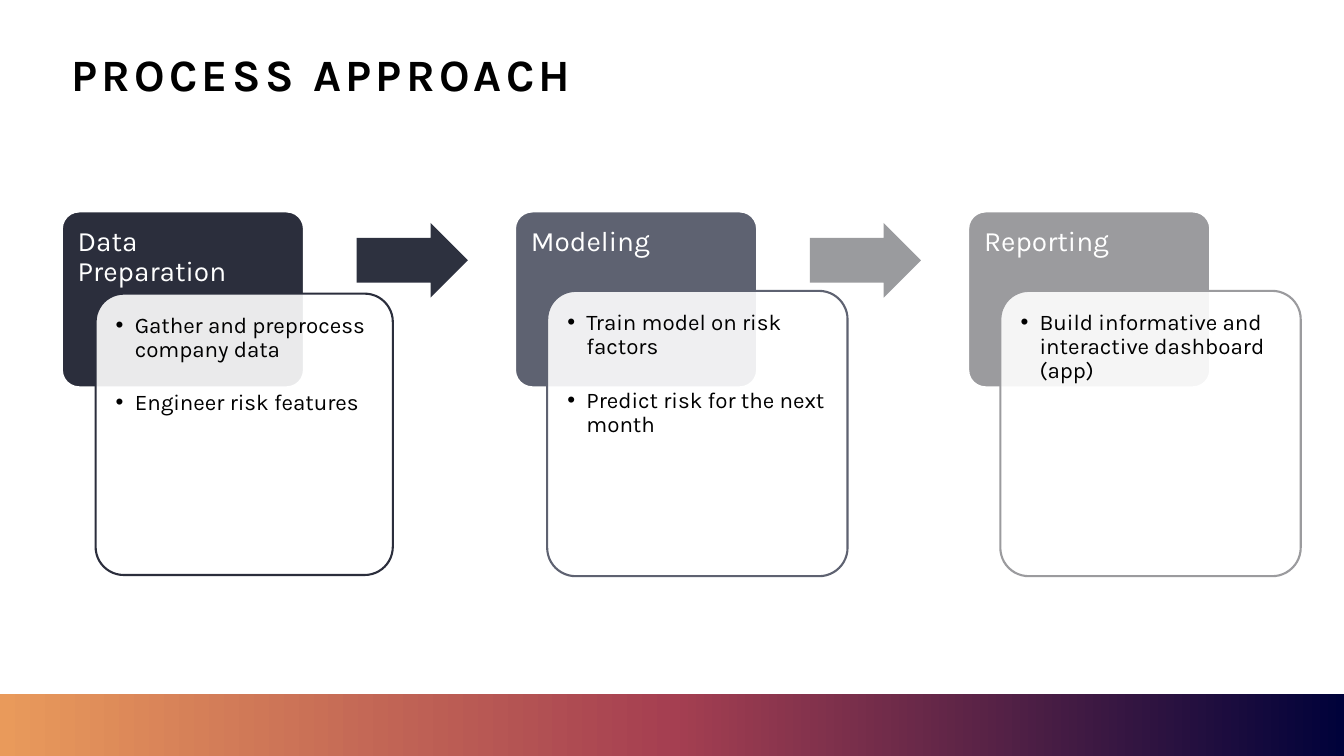
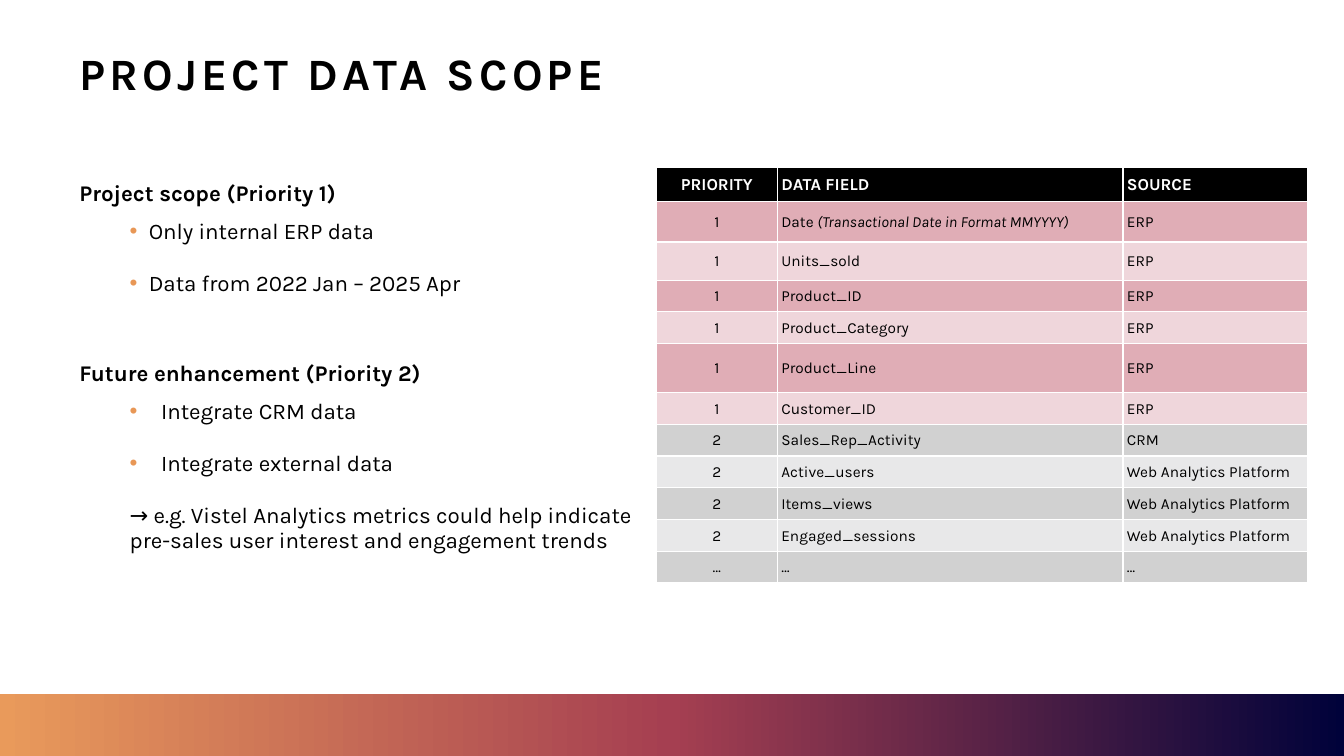
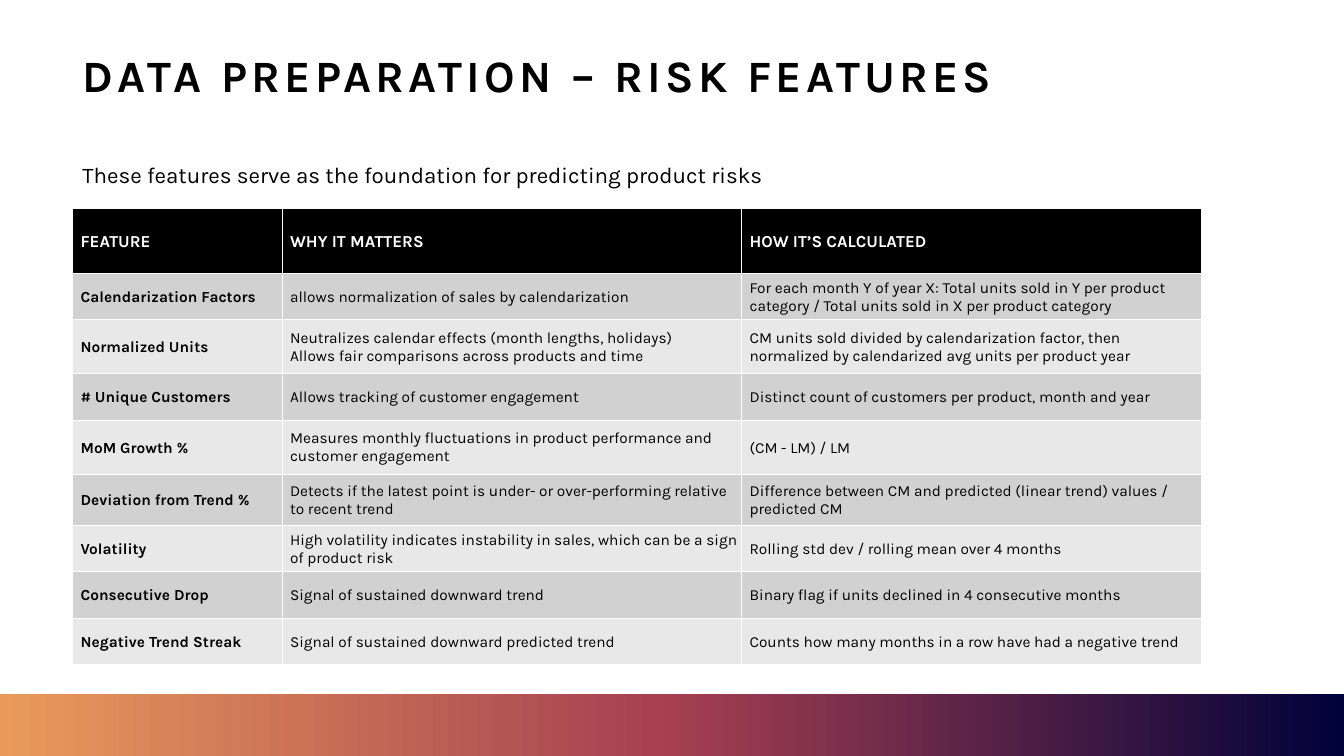
from copy import deepcopy

from lxml import etree
from pptx import Presentation
from pptx.dml.color import RGBColor
from pptx.enum.shapes import MSO_SHAPE
from pptx.enum.text import MSO_ANCHOR, MSO_AUTO_SIZE, PP_ALIGN
from pptx.oxml.ns import qn
from pptx.util import Cm, Pt

RECTANGLE = MSO_SHAPE.RECTANGLE
ROUNDED = MSO_SHAPE.ROUNDED_RECTANGLE
ARROW = MSO_SHAPE.RIGHT_ARROW
TOP, MIDDLE = MSO_ANCHOR.TOP, MSO_ANCHOR.MIDDLE
LEFT, CENTER = PP_ALIGN.LEFT, PP_ALIGN.CENTER
NO_FIT = MSO_AUTO_SIZE.NONE

FONT = "Karla"
WIDTH, HEIGHT = 33.87, 19.05
BAND = (0, 17.5, WIDTH, 1.55)
STEP_PITCH = 11.42
COLORS = {
    "black": "000000",
    "white": "FFFFFF",
    "navy": "00023A",
    "crimson": "A53F51",
    "orange": "E99A5B",
    "bullet": "E89756",
    "ink": "2B2E3C",
    "ink arrow": "2D313F",
    "slate": "5E6271",
    "grey": "9B9B9E",
    "grey arrow": "9A9B9E",
    "rose": "E0ADB6",
    "light rose": "EFD6DB",
    "silver": "D1D1D1",
    "light silver": "E8E8E9",
}
ROSE_ROWS = ("light rose", "rose")
GREY_ROWS = ("light silver", "silver")

STEPS = [
    ("Data Preparation", "ink", "ink arrow", (0.86, 2.08, 7.49, 7.09),
     ["Gather and preprocess company data", "Engineer risk features"]),
    ("Modeling", "slate", "grey arrow", (0.82, 2.01, 7.57, 7.19),
     ["Train model on risk factors", "Predict risk for the next month"]),
    ("Reporting", "grey", None, (0.82, 2.01, 7.57, 7.19),
     ["Build informative and interactive dashboard (app)"]),
]

NEAR_BULLET = {"indent": 1.75, "hanging": 0.48, "bullet": "bullet", "after": 10}
FAR_BULLET = {"indent": 2.06, "hanging": 0.79, "bullet": "bullet", "after": 10}
SCOPE_TEXT = [
    ("Project scope (Priority 1)", {"bold": True}),
    ("Only internal ERP data", NEAR_BULLET),
    ("Data from 2022 Jan – 2025 Apr", NEAR_BULLET),
    ("Future enhancement (Priority 2)", {"bold": True, "before": 37}),
    ("Integrate CRM data", FAR_BULLET),
    ("Integrate external data", FAR_BULLET),
    ("→ e.g. Vistel Analytics metrics could help indicate pre-sales user "
     "interest and engagement trends", {"indent": 1.27, "after": 10}),
]

FIELD_ROWS = [
    ("PRIORITY", "DATA FIELD", "SOURCE"),
    ("1", ("Date ", "(Transactional Date in Format MMYYYY)"), "ERP"),
    ("1", "Units_sold", "ERP"),
    ("1", "Product_ID", "ERP"),
    ("1", "Product_Category", "ERP"),
    ("1", "Product_Line", "ERP"),
    ("1", "Customer_ID", "ERP"),
    ("2", "Sales_Rep_Activity", "CRM"),
    ("2", "Active_users", "Web Analytics Platform"),
    ("2", "Items_views", "Web Analytics Platform"),
    ("2", "Engaged_sessions", "Web Analytics Platform"),
    ("…", "…", "…"),
]

FEATURE_ROWS = [
    ("FEATURE", "WHY IT MATTERS", "HOW IT’S CALCULATED"),
    ("Calendarization Factors",
     "allows normalization of sales by calendarization",
     "For each month Y of year X: Total units sold in Y per product category "
     "/ Total units sold in X per product category"),
    ("Normalized Units",
     "Neutralizes calendar effects (month lengths, holidays)\n"
     "Allows fair comparisons across products and time",
     "CM units sold divided by calendarization factor, then normalized by "
     "calendarized avg units per product year"),
    ("# Unique Customers",
     "Allows tracking of customer engagement",
     "Distinct count of customers per product, month and year"),
    ("MoM Growth %",
     "Measures monthly fluctuations in product performance and customer "
     "engagement",
     "(CM - LM) / LM"),
    ("Deviation from Trend %",
     "Detects if the latest point is under- or over-performing relative to "
     "recent trend",
     "Difference between CM and predicted (linear trend) values / predicted CM"),
    ("Volatility",
     "High volatility indicates instability in sales, which can be a sign of "
     "product risk",
     "Rolling std dev / rolling mean over 4 months"),
    ("Consecutive Drop",
     "Signal of sustained downward trend",
     "Binary flag if units declined in 4 consecutive months"),
    ("Negative Trend Streak",
     "Signal of sustained downward predicted trend",
     "Counts how many months in a row have had a negative trend"),
]


def rgb(name):
    return RGBColor.from_string(COLORS[name])


def lengths(values):
    return [Cm(value) for value in values]


def add_run(paragraph, text, size=16, color="black", bold=False, italic=False,
            tracking=0):
    for index, line in enumerate(text.split("\n")):
        if index:
            paragraph.add_line_break()
        run = paragraph.add_run()
        run.text = line
        font = run.font
        font.name, font.size = FONT, Pt(size)
        font.bold, font.italic = bold, italic
        font.color.rgb = rgb(color)
        if tracking:
            run._r.get_or_add_rPr().set("spc", str(tracking * 100))


def add_text(frame, text, align=LEFT, spacing=0.9, before=0, after=0, indent=0,
             hanging=0, bullet=None, **font_format):
    paragraph = frame.paragraphs[0]
    if paragraph.runs:
        paragraph = frame.add_paragraph()
    paragraph.alignment = align
    paragraph.line_spacing = spacing
    paragraph.space_before, paragraph.space_after = Pt(before), Pt(after)
    properties = paragraph._p.get_or_add_pPr()
    properties.set("marL", str(Cm(indent)))
    properties.set("indent", str(-Cm(hanging)))
    if bullet:
        color = etree.SubElement(properties, qn("a:buClr"))
        etree.SubElement(color, qn("a:srgbClr"), val=COLORS[bullet])
        etree.SubElement(properties, qn("a:buFont"), typeface="Arial")
        etree.SubElement(properties, qn("a:buChar"), char="•")
    add_run(paragraph, text, **font_format)


def prepare_frame(frame, margins, anchor=TOP):
    frame.word_wrap = True
    frame.auto_size = NO_FIT
    frame.vertical_anchor = anchor
    (frame.margin_left, frame.margin_top,
     frame.margin_right, frame.margin_bottom) = lengths(margins)
    return frame


def add_shape(slide, kind, box, fill, line=None, line_width=1, opacity=100,
              adjustments=()):
    shape = slide.shapes.add_shape(kind, *lengths(box))
    shape.shadow.inherit = False
    for index, value in enumerate(adjustments):
        shape.adjustments[index] = value
    shape.fill.solid()
    shape.fill.fore_color.rgb = rgb(fill)
    if opacity < 100:
        color = shape._element.spPr.find(qn("a:solidFill"))[0]
        etree.SubElement(color, qn("a:alpha"), val=str(opacity * 1000))
    if line:
        shape.line.color.rgb = rgb(line)
        shape.line.width = Pt(line_width)
    else:
        shape.line.fill.background()
    return shape


def add_band(slide):
    band = add_shape(slide, RECTANGLE, BAND, "navy")
    band.fill.gradient()
    band.fill.gradient_angle = 180
    stop_list = band._element.spPr.find(qn("a:gradFill")).find(qn("a:gsLst"))
    stop_list.insert(1, deepcopy(stop_list[0]))
    colors = ("navy", "crimson", "orange")
    for index, stop in enumerate(band.fill.gradient_stops):
        stop.position = index / 2
        stop.color.rgb = rgb(colors[index])


def add_titled_slide(presentation, title, box):
    slide = presentation.slides.add_slide(presentation.slide_layouts[5])
    placeholder = slide.shapes.title
    (placeholder.left, placeholder.top,
     placeholder.width, placeholder.height) = lengths(box)
    frame = prepare_frame(placeholder.text_frame, (0.25, 0.13, 0.25, 0.13), MIDDLE)
    add_text(frame, title, size=32, bold=True, tracking=3)
    add_band(slide)
    return slide


def add_body(slide, box, paragraphs):
    text_box = slide.shapes.add_textbox(*lengths(box))
    frame = prepare_frame(text_box.text_frame, (0.25, 0.13, 0.25, 0.13))
    for text, text_format in paragraphs:
        add_text(frame, text, **{"before": 10, **text_format})


def add_step(slide, left, top, step):
    heading, color, arrow_color, panel_box, items = step
    header = add_shape(slide, ROUNDED, (left, top, 6.12, 4.45), color, "white", 2,
                       adjustments=[0.1])
    frame = prepare_frame(header.text_frame, (0.28, 0.28, 0.28, 0.2))
    add_text(frame, heading, size=20, color="white")

    across, down, width, height = panel_box
    panel = add_shape(slide, ROUNDED, (left + across, top + down, width, height),
                      "white", color, 1.5, opacity=90, adjustments=[0.1])
    frame = prepare_frame(panel.text_frame, (0.3, 0.3, 0.3, 0.3))
    for item in items:
        add_text(frame, item, after=21, indent=0.48, hanging=0.48, bullet="black")

    if arrow_color:
        add_shape(slide, ARROW, (left + 7.44, top + 0.3, 2.8, 1.88), arrow_color,
                  adjustments=[0.6, 0.5])


def format_cell(cell, fill, margin):
    cell.vertical_anchor = MIDDLE
    (cell.margin_left, cell.margin_top,
     cell.margin_right, cell.margin_bottom) = lengths((margin, 0.03, 0.03, 0))
    properties = cell._tc.get_or_add_tcPr()
    for side in ("lnL", "lnR", "lnT", "lnB"):
        border = etree.SubElement(properties, qn("a:" + side), w=str(Pt(1)))
        border_fill = etree.SubElement(border, qn("a:solidFill"))
        etree.SubElement(border_fill, qn("a:srgbClr"), val=COLORS["white"])
    cell.fill.solid()
    cell.fill.fore_color.rgb = rgb(fill)


def add_grid(slide, left, top, widths, heights, rows, margins, row_fills,
             first_align=LEFT, first_bold=False):
    box = (left, top, sum(widths), sum(heights))
    frame = slide.shapes.add_table(len(rows), len(widths), *lengths(box))
    table = frame.table
    table.horz_banding = False
    for column, width in zip(table.columns, widths):
        column.width = Cm(width)
    for row_index, values in enumerate(rows):
        table.rows[row_index].height = Cm(heights[row_index])
        is_header = row_index == 0
        fill = "black" if is_header else row_fills(values)[row_index % 2]
        for column_index, value in enumerate(values):
            is_first = column_index == 0
            cell = table.cell(row_index, column_index)
            format_cell(cell, fill, margins[column_index])
            text, *italic_parts = [value] if isinstance(value, str) else value
            size = 12 if is_header else 11
            add_text(cell.text_frame, text, spacing=1.0, size=size,
                     align=first_align if is_first else LEFT,
                     color="white" if is_header else "black",
                     bold=is_header or (is_first and first_bold))
            for part in italic_parts:
                add_run(cell.text_frame.paragraphs[0], part, size=size, italic=True)


def build_process(presentation):
    slide = add_titled_slide(presentation, "PROCESS APPROACH",
                             (1.55, 0.71, 30, 2.46))
    for index, step in enumerate(STEPS):
        add_step(slide, 1.55 + index * STEP_PITCH, 5.32, step)


def build_scope(presentation):
    slide = add_titled_slide(presentation, "PROJECT DATA SCOPE",
                             (1.75, 1.02, 29.79, 1.8))
    add_body(slide, (1.75, 4.45, 14.79, 12.37), SCOPE_TEXT)
    heights = [0.86, 1.02, 0.96, 0.79, 0.81, 1.23] + [0.8] * 6
    add_grid(slide, 16.54, 4.22, [3.05, 8.71, 4.65], heights, FIELD_ROWS,
             [0.03, 0.1, 0.1],
             lambda values: ROSE_ROWS if values[0] == "1" else GREY_ROWS,
             first_align=CENTER)


def build_features(presentation):
    slide = add_titled_slide(presentation, "DATA PREPARATION – RISK FEATURES",
                             (1.83, 0.3, 29.67, 3.35))
    add_body(slide, (1.83, 4.01, 28.02, 3.81), [
        ("These features serve as the foundation for predicting product risks", {}),
    ])
    heights = [1.63, 1.17, 1.36, 1.17, 1.36, 1.29, 1.17, 1.17, 1.17]
    add_grid(slide, 1.83, 5.26, [5.28, 11.58, 11.58], heights, FEATURE_ROWS,
             [0.2] * 3, lambda values: GREY_ROWS, first_bold=True)


def main():
    presentation = Presentation()
    presentation.slide_width, presentation.slide_height = Cm(WIDTH), Cm(HEIGHT)
    build_process(presentation)
    build_scope(presentation)
    build_features(presentation)
    presentation.save("out.pptx")


if __name__ == "__main__":
    main()
